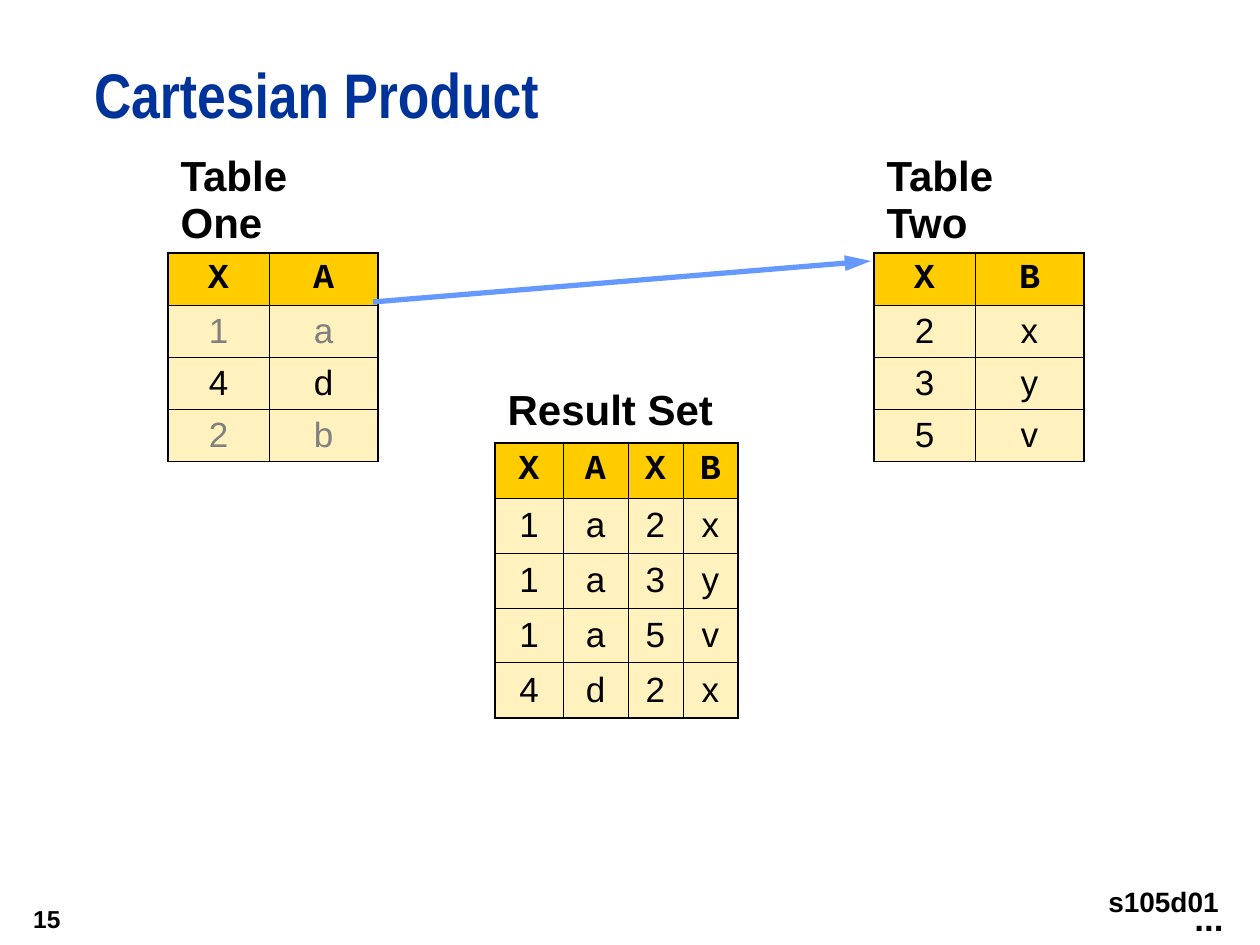
from dataclasses import dataclass

from lxml.etree import SubElement
from pptx import Presentation
from pptx.dml.color import RGBColor
from pptx.enum.shapes import MSO_CONNECTOR
from pptx.enum.text import MSO_ANCHOR as Anchor, MSO_AUTO_SIZE as AutoSize, PP_ALIGN as Align
from pptx.oxml.ns import qn
from pptx.util import Emu, Pt

EMU_PER_PX = 914400 / 126
BLACK, GREY, NAVY, BLUE = "000000", "808080", "003399", "6699FF"
GOLD, CREAM = "FFCC00", "FFF2BE"
THICK, THIN = 1.08, 0.45


@dataclass(frozen=True)
class DataTable:
    caption: str
    left: int
    top: int
    col_widths: tuple[int, ...]
    caption_height: int
    row_height: int
    rows: tuple[str, ...]
    grey_rows: tuple[int, ...] = ()


@dataclass(frozen=True)
class Label:
    text: str
    box: tuple[int, int, int, int]
    size: int
    align: Align
    anchor: Anchor = Anchor.TOP
    inset: int = 6
    auto_size: AutoSize = AutoSize.NONE


TABLES = (
    DataTable("Table One", 168, 147, (101, 109), 106, 52, ("XA", "1a", "4d", "2b"), (1, 3)),
    DataTable("Table Two", 874, 147, (101, 109), 106, 52, ("XB", "2x", "3y", "5v")),
    DataTable("Result Set", 495, 379, (68, 65, 55, 55), 64, 55,
              ("XAXB", "1a2x", "1a3y", "1a5v", "4d2x")),
)
LABELS = (
    Label("15", (0, 892, 73, 53), 14, Align.RIGHT, Anchor.MIDDLE),
    Label("...", (1182, 890, 54, 55), 20, Align.LEFT, auto_size=AutoSize.SHAPE_TO_FIT_TEXT),
    Label("s105d01", (1089, 872, 142, 58), 16, Align.RIGHT, inset=13,
          auto_size=AutoSize.SHAPE_TO_FIT_TEXT),
)


def px(n: float) -> Emu:
    """Turn pixels into EMU."""
    return Emu(round(n * EMU_PER_PX))


def rgb(value: str) -> RGBColor:
    """Turn a hex string into a colour."""
    return RGBColor.from_string(value)


def style(p, size: int, color: str = BLACK, font: str = "Arial", bold: bool = True) -> None:
    """Format every run of a paragraph."""
    for r in p.runs:
        r.font.name, r.font.size, r.font.bold = font, Pt(size), bold
        r.font.color.rgb = rgb(color)


def set_borders(cell, **widths: float) -> None:
    """Draw the L, R, T and B borders of a cell, a zero width meaning none."""
    tc_pr = cell._tc.get_or_add_tcPr()
    for side in "LRTB":
        width = widths.get(side, 0)
        ln = SubElement(tc_pr, qn(f"a:ln{side}"), w=str(Pt(width)))
        if width:
            fill = SubElement(ln, qn("a:solidFill"))
            SubElement(fill, qn("a:srgbClr"), val=BLACK)
        else:
            SubElement(ln, qn("a:noFill"))


def add_data_table(s, spec: DataTable) -> None:
    """Add a table whose first row is its caption and second its column names."""
    n_rows, n_cols = len(spec.rows), len(spec.col_widths)
    height = spec.caption_height + n_rows * spec.row_height
    table = s.shapes.add_table(n_rows + 1, n_cols, px(spec.left), px(spec.top),
                               px(sum(spec.col_widths)), px(height)).table
    table.first_row = table.horz_banding = False
    for column, width in zip(table.columns, spec.col_widths):
        column.width = px(width)
    for row in table.rows:
        row.height = px(spec.row_height)
    table.rows[0].height = px(spec.caption_height)

    for c in range(n_cols):
        cell = table.cell(0, c)
        set_borders(cell, B=THICK)
        cell.fill.background()
    caption = table.cell(0, 0)
    caption.merge(table.cell(0, n_cols - 1))
    caption.text_frame.text = spec.caption
    caption.vertical_anchor = Anchor.MIDDLE
    style(caption.text_frame.paragraphs[0], 24)

    for i, values in enumerate(spec.rows):
        header = i == 0
        for c, value in enumerate(values):
            cell = table.cell(i + 1, c)
            set_borders(cell, L=THIN if c else THICK, T=THICK if header else THIN,
                        R=THICK if c == n_cols - 1 else THIN,
                        B=THICK if i == n_rows - 1 else THIN)
            cell.fill.solid()
            cell.fill.fore_color.rgb = rgb(GOLD if header else CREAM)
            cell.vertical_anchor = Anchor.MIDDLE
            cell.text_frame.text = value
            p = cell.text_frame.paragraphs[0]
            p.alignment = Align.CENTER
            style(p, 20, GREY if i in spec.grey_rows else BLACK,
                  "Courier New" if header else "Arial", header)


def add_label(s, label: Label) -> None:
    """Add a bold one-line text box."""
    tf = s.shapes.add_textbox(*map(px, label.box)).text_frame
    tf.word_wrap, tf.auto_size = False, label.auto_size
    tf.vertical_anchor = label.anchor
    tf.margin_top = tf.margin_bottom = px(label.inset)
    tf.text = label.text
    p = tf.paragraphs[0]
    p.alignment = label.align
    style(p, label.size)


def set_title(s, text: str) -> None:
    """Place and format the title placeholder."""
    sp = s.shapes.title
    sp.left, sp.top, sp.width, sp.height = map(px, (94, 63, 1166, 95))
    tf = sp.text_frame
    tf.auto_size, tf.vertical_anchor = AutoSize.NONE, Anchor.TOP
    tf.margin_left = tf.margin_top = tf.margin_right = tf.margin_bottom = 0
    tf.text = text
    p = tf.paragraphs[0]
    p.alignment, p.line_spacing = Align.LEFT, Pt(39)
    style(p, 36, NAVY, "Arial Narrow")


def add_arrow(s, x1: int, y1: int, x2: int, y2: int) -> None:
    """Add a straight arrow."""
    line = s.shapes.add_connector(MSO_CONNECTOR.STRAIGHT, px(x1), px(y1), px(x2), px(y2))
    line.line.color.rgb, line.line.width = rgb(BLUE), Pt(3)
    SubElement(line.line._get_or_add_ln(), qn("a:tailEnd"), type="triangle", w="med", len="lg")
    SubElement(line._element.spPr, qn("a:effectLst"))


def main() -> None:
    """Build and save the slide."""
    prs = Presentation()
    prs.slide_width, prs.slide_height = px(1260), px(945)
    s = prs.slides.add_slide(prs.slide_layouts[5])
    set_title(s, "Cartesian Product")
    for spec in TABLES:
        add_data_table(s, spec)
    for label in LABELS:
        add_label(s, label)
    add_arrow(s, 373, 302, 871, 261)
    prs.save("out.pptx")


if __name__ == "__main__":
    main()
